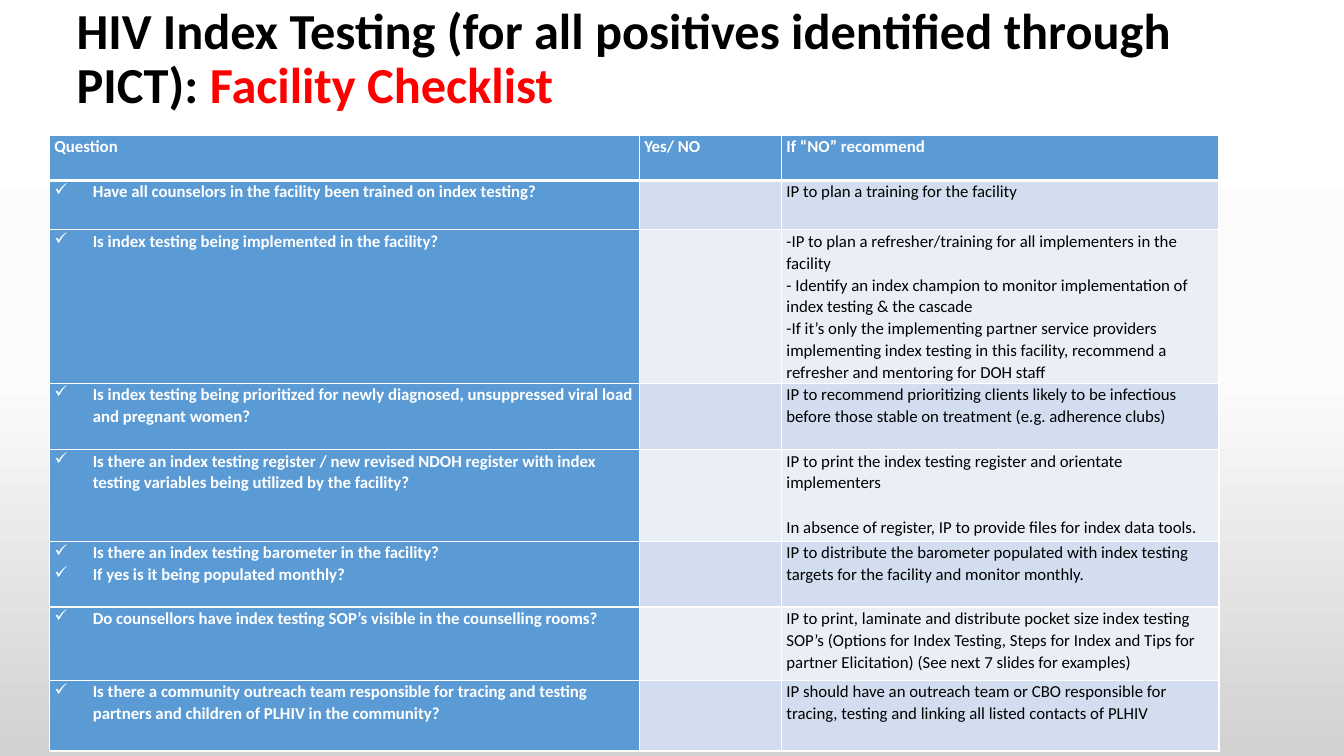
from copy import deepcopy
from dataclasses import dataclass

from lxml import etree
from pptx import Presentation
from pptx.dml.color import RGBColor
from pptx.enum import text
from pptx.oxml.ns import qn
from pptx.util import Inches, Pt


@dataclass(frozen=True)
class Theme:
    font: str = "Calibri"
    title_size: int = 36
    table_size: int = 12
    ink: str = "000000"
    white: str = "FFFFFF"
    accent: str = "FF0000"
    header: str = "5B9BD5"
    bands: tuple = ("D2DEEF", "EAEFF7")
    background: tuple = ((0, "FFFFFF"), (0.5, "FBFBFB"), (1, "D1D1D1"))


THEME = Theme()
COLUMN_WIDTHS = (5.85, 1.41, 4.34)
HEADER_HEIGHT = 0.45
HEADINGS = ("Question", "Yes/ NO", "If “NO” recommend")
PARAGRAPH_GAP = 16

# Row height, questions, recommendations, space before later recommendations
CHECKLIST = (
    (0.49, ["Have all counselors in the facility been trained on index testing?"],
     ["IP to plan a training for the facility"], 0),
    (1.28, ["Is index testing being implemented in the facility?"],
     ["-IP to plan a refresher/training for all implementers in the facility",
      "- Identify an index champion to monitor implementation of index testing & the cascade",
      "-If it’s only the implementing partner service providers implementing index testing "
      "in this facility, recommend a refresher and mentoring for DOH staff"], 0),
    (0.66, ["Is index testing being prioritized for newly diagnosed, unsuppressed viral load "
            "and pregnant women?"],
     ["IP to recommend prioritizing clients likely to be infectious before those stable on "
      "treatment (e.g. adherence clubs)"], 0),
    (0.91, ["Is there an index testing register / new revised NDOH register with index testing "
            "variables being utilized by the facility?"],
     ["IP to print the index testing register and orientate implementers",
      "In absence of register, IP to provide files for index data tools."], PARAGRAPH_GAP),
    (0.65, ["Is there an index testing barometer in the facility?",
            "If yes is it being populated monthly?"],
     ["IP to distribute the barometer populated with index testing targets for the facility "
      "and monitor monthly."], 0),
    (0.73, ["Do counsellors have index testing SOP’s visible in the counselling rooms?"],
     ["IP to print, laminate and distribute pocket size index testing SOP’s (Options for Index "
      "Testing, Steps for Index and Tips for partner Elicitation) (See next 7 slides for "
      "examples)"], 0),
    (0.7, ["Is there a community outreach team responsible for tracing and testing partners and "
           "children of PLHIV in the community?"],
     ["IP should have an outreach team or CBO responsible for tracing, testing and linking all "
      "listed contacts of PLHIV"], 0),
)


def add_run(paragraph, words, size, color, bold):
    run = paragraph.add_run()
    run.text = words
    run.font.name = THEME.font
    run.font.size = Pt(size)
    run.font.bold = bold
    run.font.color.rgb = RGBColor.from_string(color)


def paint_background(slide):
    fill = slide.background.fill
    fill.gradient()
    fill.gradient_angle = 270
    stop_list = slide.element.find(".//" + qn("a:gsLst"))
    stop_list.append(deepcopy(stop_list[0]))
    for stop, (position, color) in zip(fill.gradient_stops, THEME.background):
        stop.position = position
        stop.color.rgb = RGBColor.from_string(color)


def place_title(slide, left, top, width, height):
    title = slide.shapes.title
    title.left, title.top = Inches(left), Inches(top)
    title.width, title.height = Inches(width), Inches(height)
    frame = title.text_frame
    frame.word_wrap = True
    frame.auto_size = text.MSO_AUTO_SIZE.NONE
    frame.vertical_anchor = text.MSO_ANCHOR.MIDDLE
    paragraph = frame.paragraphs[0]
    paragraph.alignment = text.PP_ALIGN.LEFT
    paragraph.line_spacing = 0.9
    add_run(paragraph, "HIV Index Testing (for all positives identified through PICT): ",
            THEME.title_size, THEME.ink, True)
    add_run(paragraph, "Facility Checklist", THEME.title_size, THEME.accent, True)


def add_check_bullet(paragraph):
    properties = paragraph._p.get_or_add_pPr()
    properties.set("marL", str(Inches(0.38)))
    properties.set("indent", str(-Inches(0.38)))
    etree.SubElement(properties, qn("a:buChar")).set("char", "✓")


def set_borders(cell, bottom_width):
    """Draw white lines on all four sides; call before the cell is filled."""
    properties = cell._tc.get_or_add_tcPr()
    for side, width in (("L", 1), ("R", 1), ("T", 1), ("B", bottom_width)):
        line = etree.SubElement(properties, qn("a:ln" + side), w=str(Pt(width)))
        fill = etree.SubElement(line, qn("a:solidFill"))
        etree.SubElement(fill, qn("a:srgbClr"), val=THEME.white)


def format_cell(cell, fill, lines=(), color=THEME.white, bold=True, checked=False,
                gap=0, bottom_width=1):
    set_borders(cell, bottom_width)
    cell.fill.solid()
    cell.fill.fore_color.rgb = RGBColor.from_string(fill)
    cell.margin_left = cell.margin_right = Inches(0.05)
    cell.margin_top = cell.margin_bottom = 0
    frame = cell.text_frame
    for index, line in enumerate(lines):
        paragraph = frame.add_paragraph() if index else frame.paragraphs[0]
        if checked:
            add_check_bullet(paragraph)
        paragraph.line_spacing = 1.07
        if index and gap:
            paragraph.space_before = Pt(gap)
        add_run(paragraph, line, THEME.table_size, color, bold)


def add_checklist(slide, left, top):
    heights = [HEADER_HEIGHT] + [row[0] for row in CHECKLIST]
    table = slide.shapes.add_table(
        len(heights), len(COLUMN_WIDTHS), Inches(left), Inches(top),
        Inches(sum(COLUMN_WIDTHS)), Inches(sum(heights))).table
    for column, width in zip(table.columns, COLUMN_WIDTHS):
        column.width = Inches(width)
    for row, height in zip(table.rows, heights):
        row.height = Inches(height)
    for column, heading in enumerate(HEADINGS):
        format_cell(table.cell(0, column), THEME.header, [heading], bottom_width=3)
    for index, (_, questions, advice, gap) in enumerate(CHECKLIST):
        question_cell, answer_cell, advice_cell = table.rows[index + 1].cells
        band = THEME.bands[index % 2]
        format_cell(question_cell, THEME.header, questions, checked=True)
        format_cell(answer_cell, band)
        format_cell(advice_cell, band, advice, THEME.ink, bold=False, gap=gap)


def main():
    presentation = Presentation()
    presentation.slide_width, presentation.slide_height = Inches(13.33), Inches(7.5)
    slide = presentation.slides.add_slide(presentation.slide_layouts[5])
    paint_background(slide)
    place_title(slide, 0.66, 0.12, 11.69, 0.95)
    add_checklist(slide, 0.49, 1.34)
    presentation.save("out.pptx")


if __name__ == "__main__":
    main()
